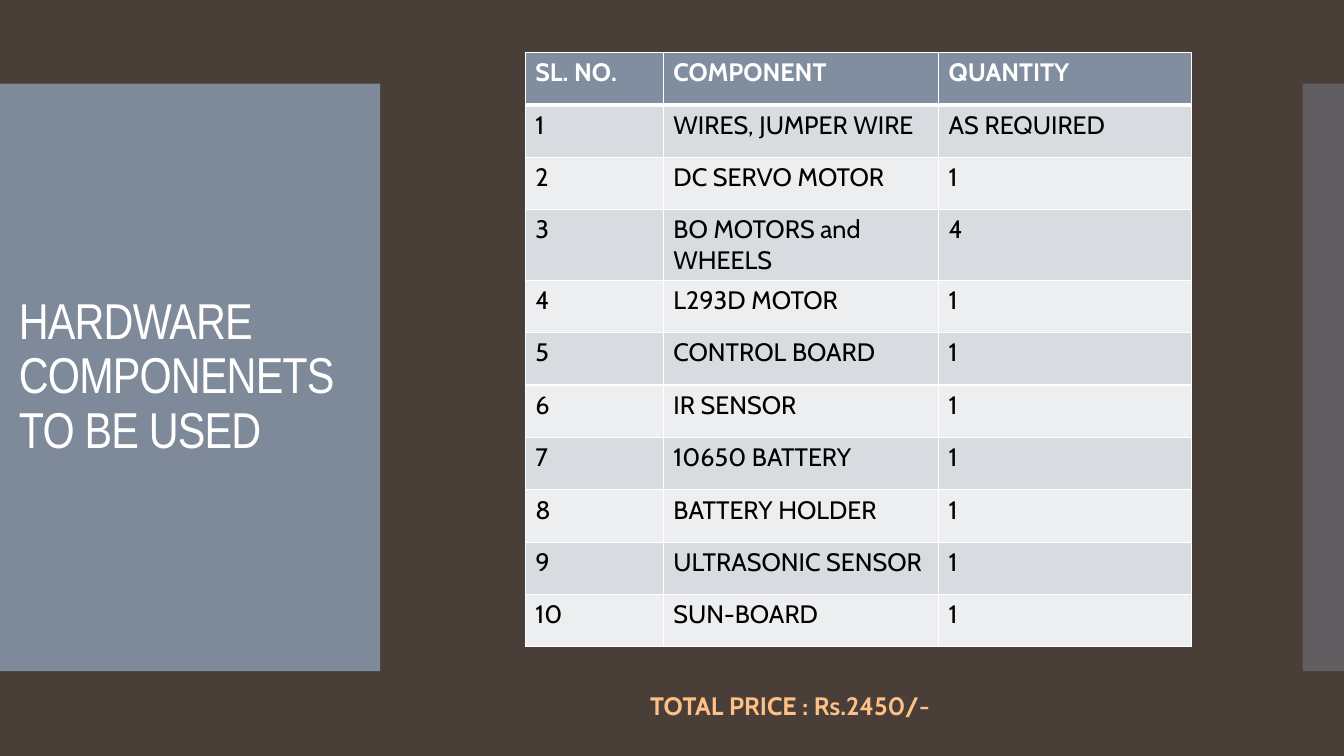
from lxml import etree
from pptx import Presentation
from pptx.dml.color import RGBColor
from pptx.enum.shapes import MSO_SHAPE
from pptx.enum.text import MSO_ANCHOR
from pptx.oxml.ns import qn
from pptx.util import Inches, Pt

RECTANGLE = MSO_SHAPE.RECTANGLE
MIDDLE = MSO_ANCHOR.MIDDLE

COLORS = {
    "background": "4A3F38",
    "slate": "818E9F",
    "odd_row": "D8DBDF",
    "even_row": "EDEEF0",
    "white": "FFFFFF",
    "black": "000000",
    "price": "FFC087",
}

TITLE_FONT = {"name": "Arial Narrow", "size": Pt(36)}
HEADER_FONT = {"name": "Cabin", "size": Pt(18), "bold": True}
BODY_FONT = {**HEADER_FONT, "bold": False}

COLUMN_WIDTHS = [1.37, 2.73, 2.51]
ROW_HEIGHT = 0.52
HEADINGS = ("SL. NO.", "COMPONENT", "QUANTITY")
COMPONENTS = [
    ("WIRES, JUMPER WIRE", "AS REQUIRED"),
    ("DC SERVO MOTOR", "1"),
    ("BO MOTORS and WHEELS", "4"),
    ("L293D MOTOR", "1"),
    ("CONTROL BOARD", "1"),
    ("IR SENSOR", "1"),
    ("10650 BATTERY", "1"),
    ("BATTERY HOLDER", "1"),
    ("ULTRASONIC SENSOR", "1"),
    ("SUN-BOARD", "1"),
]


def rgb(color):
    return RGBColor.from_string(COLORS[color])


def fill_solid(target, color):
    target.fill.solid()
    target.fill.fore_color.rgb = rgb(color)


def write(paragraph, text, font_format, color):
    run = paragraph.add_run()
    run.text = text
    for attribute, value in font_format.items():
        setattr(run.font, attribute, value)
    run.font.color.rgb = rgb(color)
    return run


def add_panel(slide, left, width, opacity):
    """Add a translucent slate band; opacity is a percentage."""
    panel = slide.shapes.add_shape(
        RECTANGLE, Inches(left), Inches(0.83), Inches(width), Inches(5.83))
    panel.shadow.inherit = False
    panel.line.fill.background()
    fill_solid(panel, "slate")
    tint = panel.fill._xPr.find(f".//{qn('a:srgbClr')}")
    etree.SubElement(tint, qn("a:alpha"), val=str(opacity * 1000))


def add_label(slide, box, text, font_format, color):
    label = slide.shapes.add_textbox(*map(Inches, box))
    label.text_frame.word_wrap = True
    run = write(label.text_frame.paragraphs[0], text, font_format, color)
    return label.text_frame, run


def add_title(slide):
    frame, run = add_label(slide, (0.09, 1.23, 3.74, 5.03),
                           "HARDWARE COMPONENETS TO BE USED", TITLE_FONT, "white")
    frame.vertical_anchor = MIDDLE
    frame.paragraphs[0].line_spacing = 0.9
    run.font._element.set("spc", "-60")


def set_borders(cell, widths):
    """Draw white cell borders; widths maps each side to points."""
    properties = cell._tc.get_or_add_tcPr()
    for side, width in widths.items():
        line = etree.SubElement(properties, qn(f"a:ln{side}"), w=str(Pt(width)))
        paint = etree.SubElement(line, qn("a:solidFill"))
        etree.SubElement(paint, qn("a:srgbClr"), val=COLORS["white"])


def add_component_table(slide):
    rows = [HEADINGS]
    rows += [(str(number), *entry) for number, entry in enumerate(COMPONENTS, 1)]
    table = slide.shapes.add_table(
        len(rows), len(HEADINGS), Inches(5.21), Inches(0.52),
        Inches(sum(COLUMN_WIDTHS)), Inches(ROW_HEIGHT * len(rows))).table
    for column, width in zip(table.columns, COLUMN_WIDTHS):
        column.width = Inches(width)
    for index, values in enumerate(rows):
        table.rows[index].height = Inches(ROW_HEIGHT)
        if index == 0:
            fill, font_format, color = "slate", HEADER_FONT, "white"
        else:
            fill = "odd_row" if index % 2 else "even_row"
            font_format, color = BODY_FONT, "black"
        borders = {"L": 1, "R": 1, "T": 3 if index == 1 else 1,
                   "B": 3 if index == 0 else 1}
        for cell, text in zip(table.rows[index].cells, values):
            set_borders(cell, borders)
            fill_solid(cell, fill)
            write(cell.text_frame.paragraphs[0], text, font_format, color)


def main():
    presentation = Presentation()
    presentation.slide_width = Inches(13.33)
    presentation.slide_height = Inches(7.5)
    slide = presentation.slides.add_slide(presentation.slide_layouts[6])
    fill_solid(slide.background, "background")
    add_panel(slide, 0, 3.77, 95)
    add_panel(slide, 12.92, 0.41, 40)
    add_title(slide)
    add_component_table(slide)
    add_label(slide, (6.35, 6.8, 4.63, 0.4),
              "TOTAL PRICE : Rs.2450/-", HEADER_FONT, "price")
    presentation.save("out.pptx")


if __name__ == "__main__":
    main()
